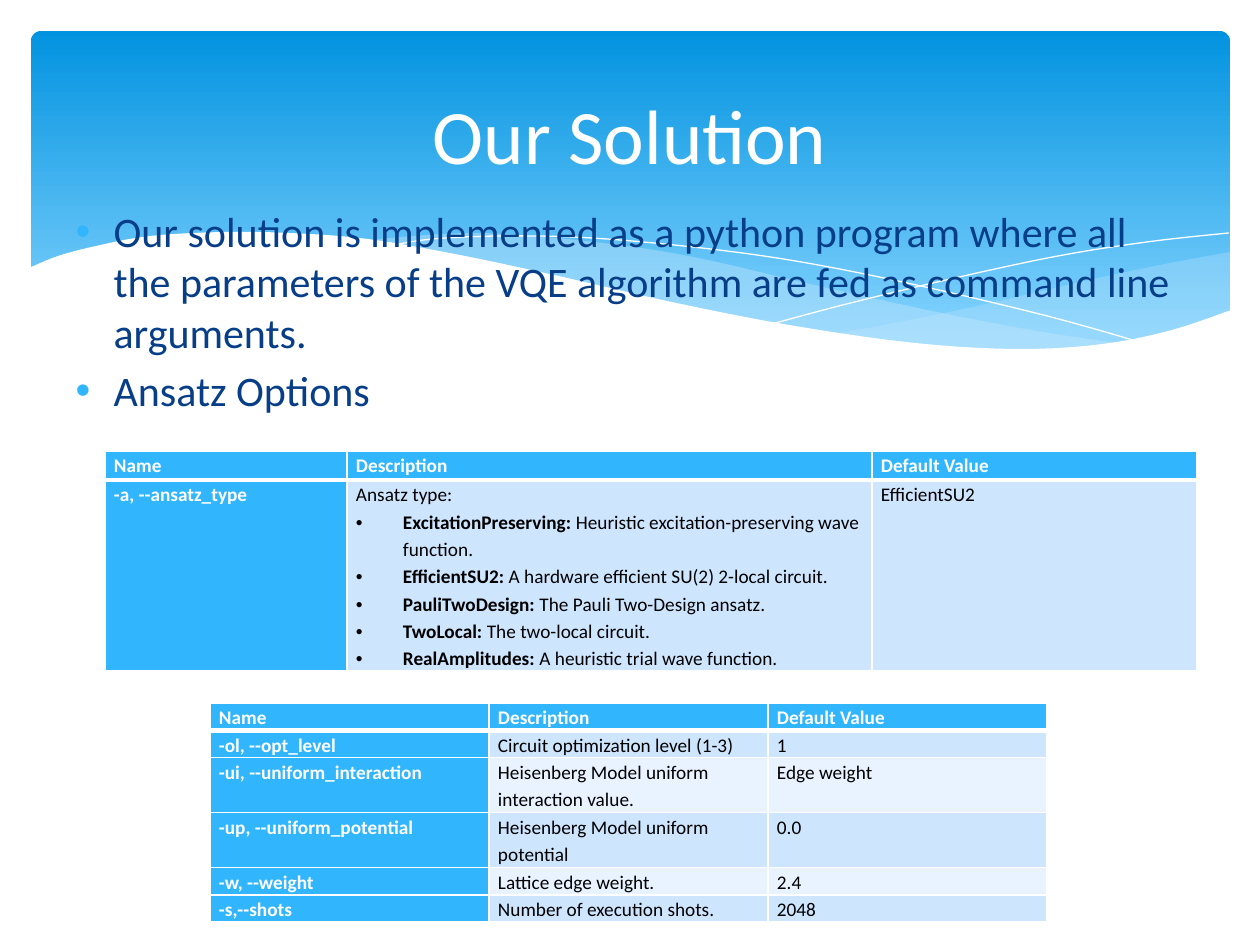
import dataclasses
import typing

import pptx
import pptx.dml.color
import pptx.enum.dml
import pptx.enum.shapes
import pptx.enum.text
import pptx.oxml
import pptx.oxml.ns
import pptx.util

SCALE = 914400 // 126
FONT = "Calibri"
WHITE, BLACK, NAVY, SKY = "FFFFFF", "000000", "073E87", "31B6FD"
BANDS = ("CEE5FE", "E8F3FF")
HEADINGS = ("Name", "Description", "Default Value")
NAMESPACE = pptx.oxml.ns.nsdecls("a")
Point = tuple[float, float]


@dataclasses.dataclass
class Wave:
    edges: list[list[Point]]
    fill: str | None = None
    alpha: int = 100


@dataclasses.dataclass
class Span:
    text: str
    bold: bool = False


@dataclasses.dataclass
class Line:
    spans: list[Span]
    bullet: bool = False


@dataclasses.dataclass
class Grid:
    left: int
    top: int
    columns: list[int]
    rows: list[int]
    entries: list[tuple[typing.Any, ...]]


def px(value: float) -> pptx.util.Emu:
    return pptx.util.Emu(round(value * SCALE))


def color(code: str) -> pptx.dml.color.RGBColor:
    return pptx.dml.color.RGBColor.from_string(code)


def xml(text: str) -> typing.Any:
    return pptx.oxml.parse_xml(text)


def place(box: typing.Any, left: int, top: int, width: int, height: int) -> None:
    box.left, box.top, box.width, box.height = map(px, (left, top, width, height))


def add_span(para: typing.Any, text: str, size: int, code: str, bold: bool = False) -> None:
    span = para.add_run()
    span.text = text
    span.font.name, span.font.size, span.font.bold = FONT, pptx.util.Pt(size), bold
    span.font.color.rgb = color(code)


def smooth(anchors: list[Point], steps: int = 5) -> list[Point]:
    """Catmull-Rom curve through the anchors."""
    padded = [anchors[0], *anchors, anchors[-1]]
    curve = [anchors[0]]
    for a, b, c, d in zip(padded, padded[1:], padded[2:], padded[3:]):
        for step in range(1, steps + 1):
            t = step / steps
            x, y = (
                (2 * q + (r - p) * t + (2 * p - 5 * q + 4 * r - s) * t**2
                 + (3 * q - p - 3 * r + s) * t**3) / 2
                for p, q, r, s in zip(a, b, c, d)
            )
            curve.append((x, y))
    return curve


def draw_wave(page: typing.Any, wave: Wave) -> None:
    points = [(px(x), px(y)) for edge in wave.edges for x, y in smooth(edge)]
    builder = page.shapes.build_freeform(*points[0], scale=1.0)
    builder.add_line_segments(points[1:], close=wave.fill is not None)
    shape = builder.convert_to_shape()
    shape.shadow.inherit = False
    if wave.fill is None:
        shape.fill.background()
        shape.line.color.rgb = color(WHITE)
        shape.line.width = pptx.util.Pt(0)
        return
    shape.line.fill.background()
    shape.fill.solid()
    shape.fill.fore_color.rgb = color(wave.fill)
    if wave.alpha < 100:
        tone = shape.fill._xPr.find(".//" + pptx.oxml.ns.qn("a:srgbClr"))
        tone.append(xml(f'<a:alpha {NAMESPACE} val="{wave.alpha * 1000}"/>'))


def set_borders(cell: typing.Any, row: int) -> None:
    widths = {"L": 1, "R": 1, "T": 3 if row == 1 else 1, "B": 3 if row == 0 else 1}
    for index, (side, width) in enumerate(widths.items()):
        cell._tc.get_or_add_tcPr().insert(index, xml(
            f'<a:ln{side} {NAMESPACE} w="{width * 12700}"><a:solidFill>'
            f'<a:srgbClr val="{WHITE}"/></a:solidFill></a:ln{side}>'))


def fill_cell(cell: typing.Any, content: typing.Any, row: int, column: int) -> None:
    strong = row == 0 or column == 0
    cell.fill.solid()
    cell.fill.fore_color.rgb = color(SKY if strong else BANDS[(row - 1) % 2])
    cell.margin_left = cell.margin_right = px(9)
    cell.margin_top = cell.margin_bottom = 0
    set_borders(cell, row)
    lines = [Line([Span(content, strong)])] if isinstance(content, str) else content
    for index, line in enumerate(lines):
        frame = cell.text_frame
        para = frame.add_paragraph() if index else frame.paragraphs[0]
        para.line_spacing = 1.15
        if line.bullet:
            props = para._p.get_or_add_pPr()
            props.set("marL", str(px(47)))
            props.set("indent", str(-px(47)))
            props.append(xml(f'<a:buFont {NAMESPACE} typeface="Arial"/>'))
            props.append(xml(f'<a:buChar {NAMESPACE} char="•"/>'))
        for span in line.spans:
            add_span(para, span.text, 11, WHITE if strong else BLACK, span.bold)


def draw_grid(page: typing.Any, grid: Grid) -> None:
    table = page.shapes.add_table(
        len(grid.rows), len(grid.columns), px(grid.left), px(grid.top),
        px(sum(grid.columns)), px(sum(grid.rows))).table
    for column, width in zip(table.columns, grid.columns):
        column.width = px(width)
    for row, height in zip(table.rows, grid.rows):
        row.height = px(height)
    for r, entry in enumerate([HEADINGS, *grid.entries]):
        for c, content in enumerate(entry):
            fill_cell(table.cell(r, c), content, r, c)


WAVES = [
    Wave([[(1230, 252), (1160, 265), (1085, 281), (982, 305), (890, 324), (833, 334)],
          [(833, 334), (906, 343), (984, 349), (1052, 349), (1120, 343), (1178, 330),
           (1230, 311)]], "C6E7FC", 29),
    Wave([[(1125, 344), (1055, 334), (977, 320), (890, 302), (793, 280), (717, 262),
           (648, 249), (557, 238), (479, 233), (413, 236), (360, 241)],
          [(360, 241), (431, 251), (509, 266), (566, 280), (668, 302), (757, 321),
           (838, 335), (927, 347), (1003, 350), (1068, 349), (1125, 344)]], "C6E7FC", 40),
    Wave([[(389, 246), (433, 239), (505, 236), (591, 238), (701, 248), (801, 262),
           (916, 285), (1047, 316), (1143, 343)]]),
    Wave([[(772, 324), (847, 304), (942, 281), (1053, 257), (1147, 242), (1229, 233)]]),
    Wave([[(1231, 310), (1172, 330), (1103, 344), (1019, 349), (915, 343), (789, 325),
           (667, 301), (563, 277), (460, 255), (368, 239), (290, 233), (223, 232),
           (150, 236), (96, 246), (58, 256), (29, 268)], [(29, 415), (1231, 415)]], WHITE),
]
ANSATZ_TYPES = [
    ("ExcitationPreserving:", " Heuristic excitation-preserving wave function."),
    ("EfficientSU2:", " A hardware efficient SU(2) 2-local circuit."),
    ("PauliTwoDesign: ", "The Pauli Two-Design ansatz."),
    ("TwoLocal: ", "The two-local circuit."),
    ("RealAmplitudes:", " A heuristic trial wave function."),
]
ANSATZ_LINES = [Line([Span("Ansatz type: ")])] + [
    Line([Span(name, True), Span(meaning)], True) for name, meaning in ANSATZ_TYPES]
GRIDS = [
    Grid(105, 451, [242, 525, 325], [29, 181],
         [("-a, --ansatz_type", ANSATZ_LINES, "EfficientSU2")]),
    Grid(210, 703, [279] * 3, [27, 27, 55, 55, 27, 27], [
        ("-ol, --opt_level", "Circuit optimization level (1-3)", "1"),
        ("-ui, --uniform_interaction", "Heisenberg Model uniform interaction value.",
         "Edge weight"),
        ("-up, --uniform_potential", "Heisenberg Model uniform potential", "0.0"),
        ("-w, --weight", "Lattice edge weight.", "2.4"),
        ("-s,--shots", "Number of execution shots.", "2048"),
    ]),
]
BULLETS = [
    "Our solution is implemented as a python program where all the parameters of the "
    "VQE algorithm are fed as command line arguments.",
    "Ansatz Options",
]

deck = pptx.Presentation()
deck.slide_width, deck.slide_height = px(1260), px(945)
page = deck.slides.add_slide(deck.slide_layouts[1])
title, body = page.shapes.title, page.placeholders[1]

# Blue banner with waves
banner = page.shapes.add_shape(pptx.enum.shapes.MSO_SHAPE.ROUNDED_RECTANGLE, 0, 0, 0, 0)
place(banner, 31, 31, 1199, 340)
banner.adjustments[0] = 0.03
banner.shadow.inherit = False
banner.line.fill.background()
banner.fill.gradient()
banner.fill.gradient_angle = 270
for stop, (position, code) in zip(banner.fill.gradient_stops, [(0, "0293E0"), (0.9, "83D3FE")]):
    stop.position, stop.color.rgb = position, color(code)
for wave in WAVES:
    draw_wave(page, wave)

# Bullets and title, in front of the banner
for holder in (body, title):
    page.shapes._spTree.append(holder._element)
    holder.text_frame.auto_size = pptx.enum.text.MSO_AUTO_SIZE.NONE
place(body, 63, 199, 1124, 252)
for index, text in enumerate(BULLETS):
    para = body.text_frame.add_paragraph() if index else body.text_frame.paragraphs[0]
    props = para._p.get_or_add_pPr()
    props.set("marL", str(px(38)))
    props.set("indent", str(-px(38)))
    props.append(xml(f'<a:buClr {NAMESPACE}><a:srgbClr val="{SKY}"/></a:buClr>'))
    add_span(para, text, 24, NAVY)
place(title, 63, 47, 1134, 173)
title.text_frame.vertical_anchor = pptx.enum.text.MSO_ANCHOR.MIDDLE
add_span(title.text_frame.paragraphs[0], "Our Solution", 44, WHITE)

# Option tables
for grid in GRIDS:
    draw_grid(page, grid)

deck.save("out.pptx")
